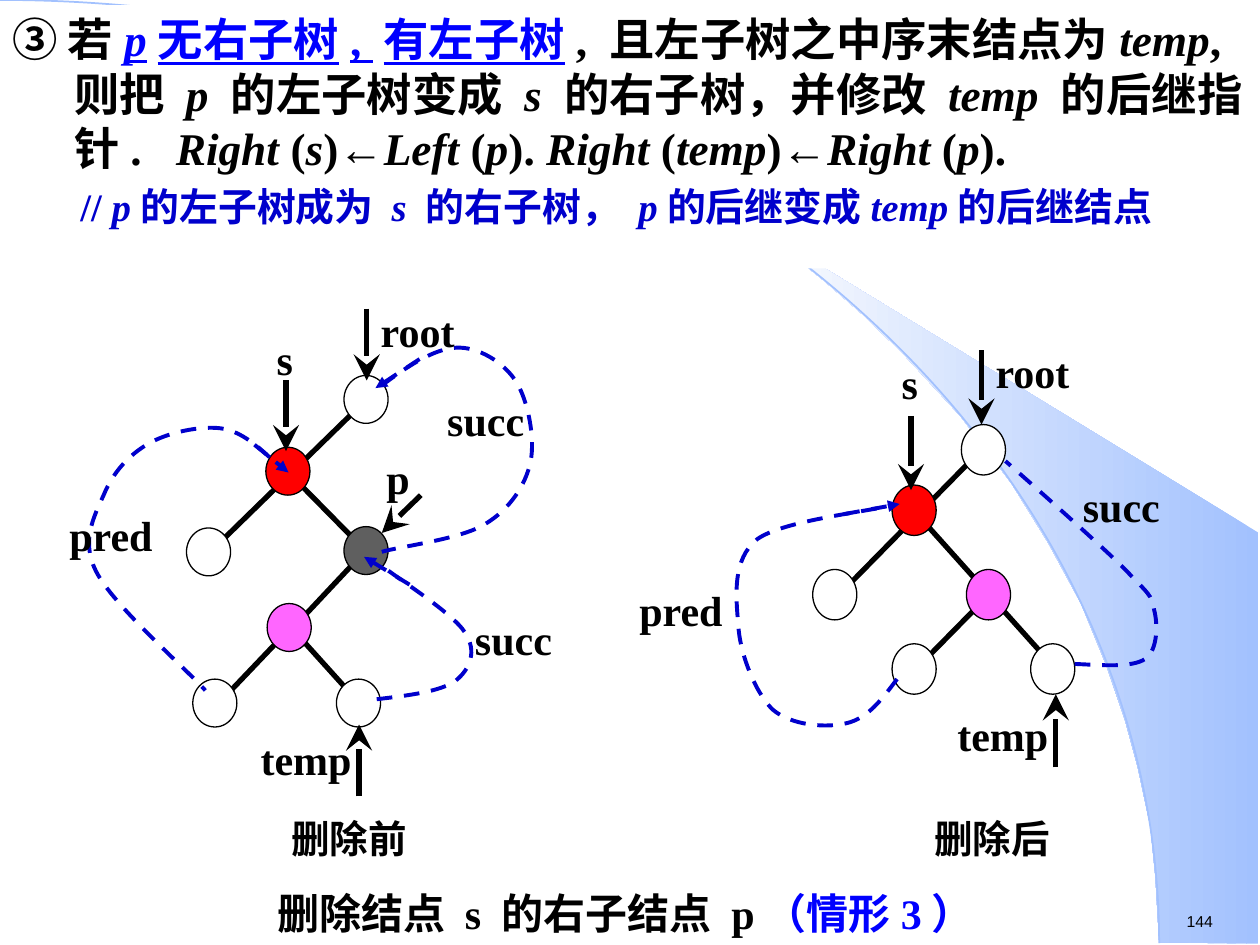
from lxml import etree
from pptx import Presentation
from pptx.dml.color import RGBColor
from pptx.enum.dml import MSO_LINE
from pptx.enum.shapes import MSO_CONNECTOR, MSO_SHAPE
from pptx.enum.text import PP_ALIGN
from pptx.oxml.ns import qn
from pptx.util import Inches, Pt

LEFT, CENTER, RIGHT = PP_ALIGN.LEFT, PP_ALIGN.CENTER, PP_ALIGN.RIGHT
DASH, STRAIGHT = MSO_LINE.DASH, MSO_CONNECTOR.STRAIGHT
OVAL, ARC = MSO_SHAPE.OVAL, MSO_SHAPE.ARC
SERIF, SANS, CJK = "Times New Roman", "Arial", "Noto Sans CJK SC"
COLORS = {name: RGBColor.from_string(value) for name, value in {
    "black": "000000", "white": "FFFFFF", "red": "FF0000", "pink": "FF66FF",
    "gray": "5F5F5F", "blue": "0000FF", "navy": "0000CC",
    "sky": "A2C1FE", "pale": "FEFEFE"}.items()}

prs = Presentation()
prs.slide_width, prs.slide_height = Inches(10), Inches(7.5)
COL, ROW = prs.slide_width / 100, prs.slide_height / 75
slide = prs.slides.add_slide(prs.slide_layouts[6])
shapes = slide.shapes


def put_text(box, *paragraphs, size=24, font=SERIF, color="black", bold=True,
             align=CENTER, spacing=0.8, inset=(0, 0), fill=None, wrap=True):
    """Each paragraph is a list of (text, overrides); underscores toggle italics."""
    x, y, w, h = box
    holder = shapes.add_textbox(int(x * COL), int(y * ROW), int(w * COL), int(h * ROW))
    if fill:
        holder.fill.solid()
        holder.fill.fore_color.rgb = COLORS[fill]
    frame = holder.text_frame
    frame.word_wrap = wrap
    frame.margin_left = frame.margin_right = int(inset[0] * COL)
    frame.margin_top = frame.margin_bottom = int(inset[1] * ROW)
    for number, parts in enumerate(paragraphs):
        paragraph = frame.add_paragraph() if number else frame.paragraphs[0]
        paragraph.alignment, paragraph.line_spacing = align, spacing
        for text, changes in parts:
            for turn, piece in enumerate(text.split("_")):
                if not piece:
                    continue
                run = paragraph.add_run()
                run.text = piece
                run.font.size = Pt(changes.get("size", size))
                run.font.name = changes.get("font", font)
                run.font.color.rgb = COLORS[changes.get("color", color)]
                run.font.bold = bold
                run.font.italic = turn % 2 == 1
                run.font.underline = changes.get("underline", False)
                if "tracking" in changes:
                    run.font._element.set("spc", str(changes["tracking"] * 100))
    return frame


def put_line(points, color="black", width=3, dash=None, head=None, head_size="med"):
    """Two points give a straight line; more are a start and Bezier triples."""
    grid = [(int(x * COL), int(y * ROW)) for x, y in points]
    if len(grid) == 2:
        line = shapes.add_connector(STRAIGHT, *grid[0], *grid[1])
    else:
        builder = shapes.build_freeform(*grid[0], scale=1.0)
        builder.add_line_segments(grid[1:], close=False)
        line = builder.convert_to_shape()
        line.fill.background()
        path = next(line._element.iter(qn("a:path")))
        for i, segment in enumerate(path.findall(qn("a:lnTo"))):
            if i % 3 == 0:
                bezier = etree.SubElement(path, qn("a:cubicBezTo"))
            bezier.append(segment[0])
            path.remove(segment)
    line.line.color.rgb, line.line.width = COLORS[color], Pt(width)
    if dash:
        line.line.dash_style = dash
    properties = line._element.spPr
    if head:
        etree.SubElement(properties.find(qn("a:ln")), qn("a:tailEnd"),
                         type=head, w=head_size, len=head_size)
    etree.SubElement(properties, qn("a:effectLst"))


# Backdrop: shaded swath and its arc
swath_edge = [(99.9, 74.9), (99.9, 42.3), (58.9, 17.3), (62.4, 19.9), (65.3, 22.2),
              (68.5, 25), (71.6, 28), (76.2, 33), (80.3, 38.4), (83.2, 43.1),
              (85.8, 47.9), (87.8, 52.8), (89.3, 57.2), (90.3, 60.9), (91.3, 65.6),
              (91.7, 69.6), (92, 74.8)]
builder = shapes.build_freeform(int(92 * COL), int(74.8 * ROW), scale=1.0)
builder.add_line_segments([(x * COL, y * ROW) for x, y in swath_edge], close=False)
swath = builder.convert_to_shape()
swath.shadow.inherit = False
swath.line.fill.background()
swath.fill.gradient()
swath.fill.gradient_angle = 180
for stop, shade, position in zip(swath.fill.gradient_stops, ("sky", "pale"), (0, 1)):
    stop.color.rgb, stop.position = COLORS[shade], position
rim = shapes.add_shape(ARC, int(-92 * COL), 0, int(184 * COL), int(149.7 * ROW))
rim.shadow.inherit = False
rim.fill.background()
rim.line.color.rgb, rim.line.width = COLORS["sky"], Pt(1)
put_text((93.2, 71.9, 7.7, 2.5), [("144", {})], size=9, font=SANS, bold=False,
         align=LEFT, spacing=1.0, inset=(1, 0.5), wrap=False)

# Rule and comment
link, arrow = {"color": "blue", "underline": True}, ("←", {"font": SANS})
rule = [("③ 若", {}), ("_p_无右子树, 有左子树", link),
        (", 且左子树之中序末结点为_temp_, 则把 _p _的左子树变成 _s _的右子树，"
         "并修改 _temp _的后继指针.", {}), (" ", {"tracking": 13}),
        ("_Right_ (_s_)", {}), arrow, ("_Left_ (_p_). _Right _(_temp_)", {}), arrow,
        ("_Right_ (_p_).", {})]
comment = [("// _p_的左子树成为 _s _的右子树， _p_的后继变成_temp_的后继结点",
            {"size": 22.2, "color": "navy"})]
body = put_text((0, 0.4, 100, 20.9), rule, comment, size=25.9, align=LEFT,
                spacing=Pt(31.1), inset=(1, 0.5), fill="white")
for paragraph, margin, indent in zip(body.paragraphs, (4.9, 5.4), (-4.9, 0)):
    layout = paragraph._p.get_or_add_pPr()
    layout.set("marL", str(int(margin * COL)))
    layout.set("indent", str(int(indent * COL)))

# Captions
latin = {"font": SERIF}
put_text((15.2, 69.8, 68.9, 5.2),
         [("删除结点 ", {}), ("s ", latin), ("的右子结点 ", {}), ("p", latin),
          ("（情形3）", {"font": SERIF, "color": "blue"})],
         font=CJK, spacing=1.15, fill="white")
for x, w, h, caption in ((20.5, 14.4, 3.9, "删除前"), (73.9, 9.7, 4.1, "删除后")):
    put_text((x, 64.7, w, h), [(caption, {})], size=22, spacing=1.0)

# Tree edges
for edge in (
        [(29.1, 31.7), (16.8, 43.7)], [(22.9, 37.5), (29.1, 43.8)],
        [(29.2, 43.5), (23.2, 49.9)], [(23.1, 49.8), (28.6, 55.9)],
        [(22.9, 50), (16.9, 56.3)],
        [(77.9, 35.7), (66.4, 47.4)], [(72.6, 40.6), (83.8, 53.1)],
        [(78.4, 47.3), (72.7, 53.1)]):
    put_line(edge)

# Tree nodes: before the deletion, then after it
before = [(27.3, 29.8, "white"), (21.1, 35.5, "red"), (14.8, 41.9, "white"),
          (27.3, 41.8, "gray"), (21.2, 47.9, "pink"), (15.3, 53.9, "white"),
          (26.7, 53.9, "white")]
after = [(76.3, 33.7, "white"), (70.8, 38.5, "red"), (64.5, 45.2, "white"),
         (76.7, 45.2, "pink"), (70.8, 51.1, "white"), (81.8, 51.1, "white")]
for nodes, height in ((before, 3.8), (after, 4)):
    for x, y, color in nodes:
        node = shapes.add_shape(OVAL, int(x * COL), int(y * ROW),
                                int(3.5 * COL), int(height * ROW))
        node.shadow.inherit = False
        node.fill.solid()
        node.fill.fore_color.rgb = COLORS[color]
        node.line.color.rgb, node.line.width = COLORS["black"], Pt(0.75)

# Pointers to root, s, p and temp
for pointer in (
        [(29.1, 24.5), (29.1, 30.2)], [(22.7, 30.2), (22.7, 35.8)],
        [(33.4, 39.3), (30.3, 42.3)], [(28.5, 63.2), (28.5, 57.5)],
        [(77.9, 27.8), (77.9, 33.7)], [(72.3, 33), (72.3, 38.9)],
        [(83.8, 60.9), (83.8, 55.1)]):
    put_line(pointer, head="stealth", head_size="lg")

# Threads: curves, then their arrow tips
for thread in (
        [(30.3, 30.6), (32.3, 29.1), (34.4, 27.7), (36.2, 27.6), (37.9, 27.5),
         (39.9, 28.7), (40.9, 30.2), (41.9, 31.7), (42.5, 34.8), (42.1, 36.7),
         (41.7, 38.5), (40.5, 40.4), (38.5, 41.6), (36.6, 42.8), (31.6, 43.4), (30.3, 43.8)],
        [(29.9, 55.5), (32.4, 55.2), (35, 54.9), (36.2, 54), (37.3, 53.1),
         (37.9, 51.7), (36.9, 50.2), (36, 48.7), (31.4, 45.8), (30.3, 44.9)],
        [(21.4, 36.3), (20.2, 35.2), (19, 34.2), (17.5, 34), (15.9, 33.8),
         (13.5, 34.3), (12, 35.1), (10.5, 35.9), (9.2, 37.2), (8.4, 38.9),
         (7.7, 40.6), (6.3, 42.7), (7.6, 45.3), (8.9, 48), (14.9, 53.2), (16.3, 54.8)],
        [(71.2, 53.9), (70, 55.5), (68.9, 57), (67.2, 57.4), (65.6, 57.8),
         (62.8, 57.6), (61.3, 56.3), (59.9, 54.9), (58.7, 51.8), (58.6, 49.6),
         (58.4, 47.3), (58.1, 44.4), (60.1, 42.8), (62.2, 41.3), (69, 40.6), (70.8, 40.1)],
        [(85.3, 52.7), (87.6, 52.8), (89.8, 53), (90.9, 52.3), (91.9, 51.6),
         (91.9, 49.5), (91.6, 48.4), (91.4, 47.2), (91.2, 47.2), (89.3, 45.2),
         (87.3, 43.2), (81.4, 38), (79.8, 36.6)]):
    put_line(thread, color="navy", width=2.25, dash=DASH)
for tip in ([(33.3, 28.5), (29.8, 30.8)], [(32.5, 46.4), (28.9, 44.2)],
            [(20.2, 35.3), (22.9, 37.5)], [(67, 40.8), (71.4, 40)]):
    put_line(tip, color="navy", width=2.25, dash=DASH, head="triangle")

# Labels
for label, x, y, w, h, align, spacing in (
        ("root", 29.8, 25, 6.7, 3, CENTER, 0.8), ("s", 21.6, 27.6, 2, 2.6, CENTER, 0.7),
        ("p", 30.6, 37, 2, 2.6, CENTER, 0.7), ("succ", 34.2, 32.1, 7.4, 3.5, RIGHT, 0.8),
        ("succ", 37.7, 49.5, 7.4, 3.4, LEFT, 0.8), ("pred", 5.5, 41.2, 7.8, 3, LEFT, 0.8),
        ("temp", 19.9, 59.3, 8, 2.6, RIGHT, 0.7),
        ("root", 78.6, 28.3, 6.7, 3.1, CENTER, 0.8), ("s", 71.2, 29.5, 2, 2.7, CENTER, 0.7),
        ("succ", 85.3, 38.9, 7.4, 3.6, CENTER, 0.8),
        ("pred", 50.4, 47.2, 7.3, 3.2, CENTER, 0.8),
        ("temp", 75.2, 57.4, 8, 2.7, RIGHT, 0.7)):
    put_text((x, y, w, h), [(label, {})], align=align, spacing=spacing)

prs.save("out.pptx")
